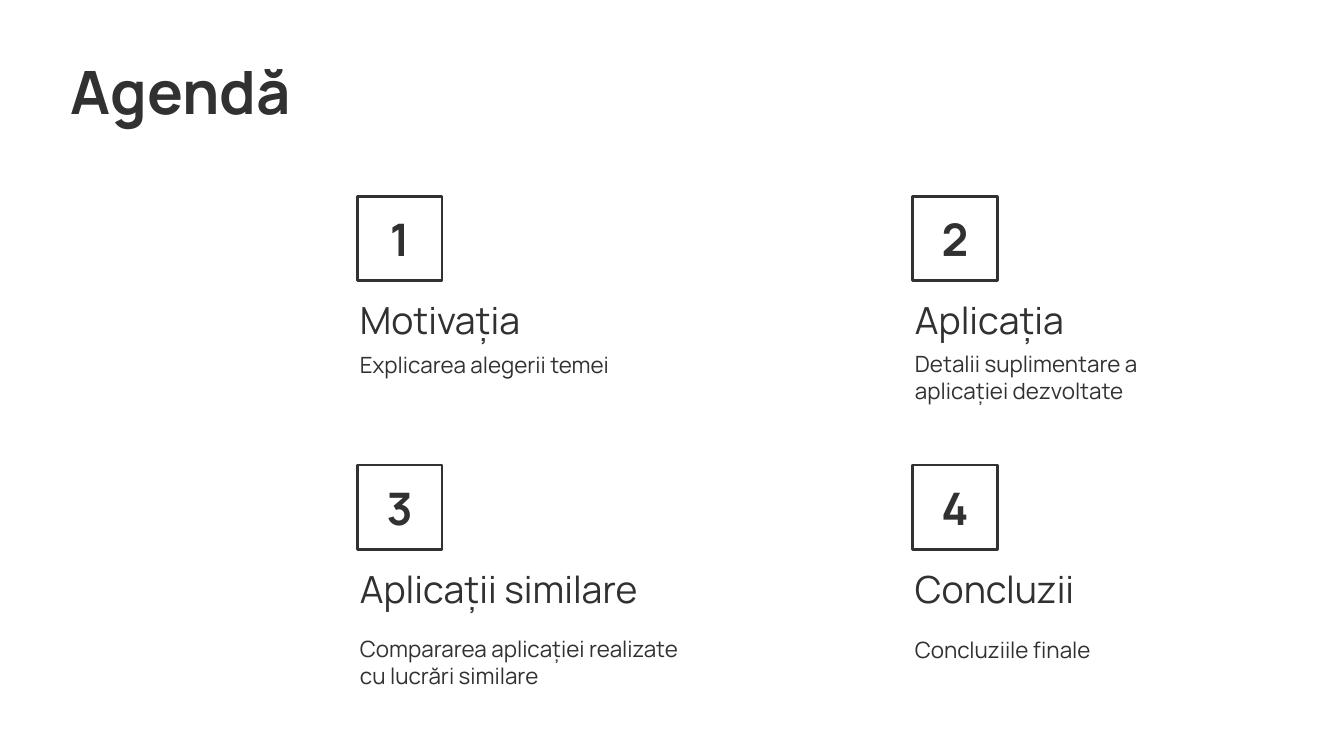
from dataclasses import dataclass

from pptx import Presentation
from pptx.dml.color import RGBColor
from pptx.enum.shapes import MSO_SHAPE
from pptx.enum.text import MSO_ANCHOR, PP_ALIGN
from pptx.util import Inches, Pt


@dataclass(frozen=True)
class Theme:
    font: str = "Manrope"
    ink: RGBColor = RGBColor(0x31, 0x31, 0x31)
    paper: RGBColor = RGBColor(0xFF, 0xFF, 0xFF)
    title_size: int = 32
    number_size: int = 24
    heading_size: int = 20
    detail_size: int = 12
    outline: float = 1.5


@dataclass(frozen=True)
class Box:
    left: float
    top: float
    width: float
    height: float

    def lengths(self):
        return [Inches(value) for value in (self.left, self.top, self.width, self.height)]


@dataclass(frozen=True)
class Topic:
    heading: str
    detail: str
    detail_top: float
    detail_width: float


THEME = Theme()
SLIDE_WIDTH = 10
SLIDE_HEIGHT = SLIDE_WIDTH * 9 / 16
TITLE_BOX = Box(0.43, 0.36, 6.94, 0.63)
GRID_BOX = Box(2.58, 1.46, 8.26, 4)
GRID_COLUMNS, GRID_ROWS = 2, 2
BADGE_SIDE, BADGE_INSET = 0.63, 0.08
HEADING_HEIGHT, DETAIL_HEIGHT = 0.58, 0.53
TEXT_INSET = Inches(0.1)
TOPICS = [
    Topic("Motivația", "Explicarea alegerii temei", 0.99, 2.64),
    Topic("Aplicația", "Detalii suplimentare a aplicației dezvoltate", 1.08, 2.1),
    Topic("Aplicații similare", "Compararea aplicației realizate cu lucrări similare", 1.2, 2.64),
    Topic("Concluzii", "Concluziile finale", 1.11, 2.44),
]


def write_text(shape, text, size, bold=False, alignment=PP_ALIGN.LEFT):
    frame = shape.text_frame
    frame.word_wrap = True
    frame.vertical_anchor = MSO_ANCHOR.MIDDLE
    frame.margin_left = frame.margin_right = TEXT_INSET
    frame.margin_top = frame.margin_bottom = TEXT_INSET
    frame.text = text
    paragraph = frame.paragraphs[0]
    paragraph.alignment = alignment
    font = paragraph.runs[0].font
    font.name = THEME.font
    font.size = Pt(size)
    font.bold = bold
    font.color.rgb = THEME.ink


def add_text(slide, box, text, size, **style):
    write_text(slide.shapes.add_textbox(*box.lengths()), text, size, **style)


def add_badge(slide, box, number):
    badge = slide.shapes.add_shape(MSO_SHAPE.RECTANGLE, *box.lengths())
    badge.shadow.inherit = False
    badge.fill.background()
    badge.line.color.rgb = THEME.ink
    badge.line.width = Pt(THEME.outline)
    write_text(badge, str(number), THEME.number_size, bold=True, alignment=PP_ALIGN.CENTER)


def add_topic(slide, box, number, topic):
    add_badge(slide, Box(box.left + BADGE_INSET, box.top, BADGE_SIDE, BADGE_SIDE), number)
    heading_box = Box(box.left, box.top + BADGE_SIDE, topic.detail_width, HEADING_HEIGHT)
    add_text(slide, heading_box, topic.heading, THEME.heading_size)
    detail_box = Box(box.left, box.top + topic.detail_top, topic.detail_width, DETAIL_HEIGHT)
    add_text(slide, detail_box, topic.detail, THEME.detail_size)


def add_topic_grid(slide, box, topics):
    cell_width = box.width / GRID_COLUMNS
    cell_height = box.height / GRID_ROWS
    for index, topic in enumerate(topics):
        row, column = divmod(index, GRID_COLUMNS)
        cell = Box(box.left + column * cell_width, box.top + row * cell_height,
                   cell_width, cell_height)
        add_topic(slide, cell, index + 1, topic)


def add_agenda_slide(presentation):
    slide = presentation.slides.add_slide(presentation.slide_layouts[6])
    slide.background.fill.solid()
    slide.background.fill.fore_color.rgb = THEME.paper
    add_text(slide, TITLE_BOX, "Agendă", THEME.title_size,
             bold=True, alignment=PP_ALIGN.JUSTIFY)
    add_topic_grid(slide, GRID_BOX, TOPICS)


def main():
    presentation = Presentation()
    presentation.slide_width = Inches(SLIDE_WIDTH)
    presentation.slide_height = Inches(SLIDE_HEIGHT)
    add_agenda_slide(presentation)
    presentation.save("out.pptx")


if __name__ == "__main__":
    main()
